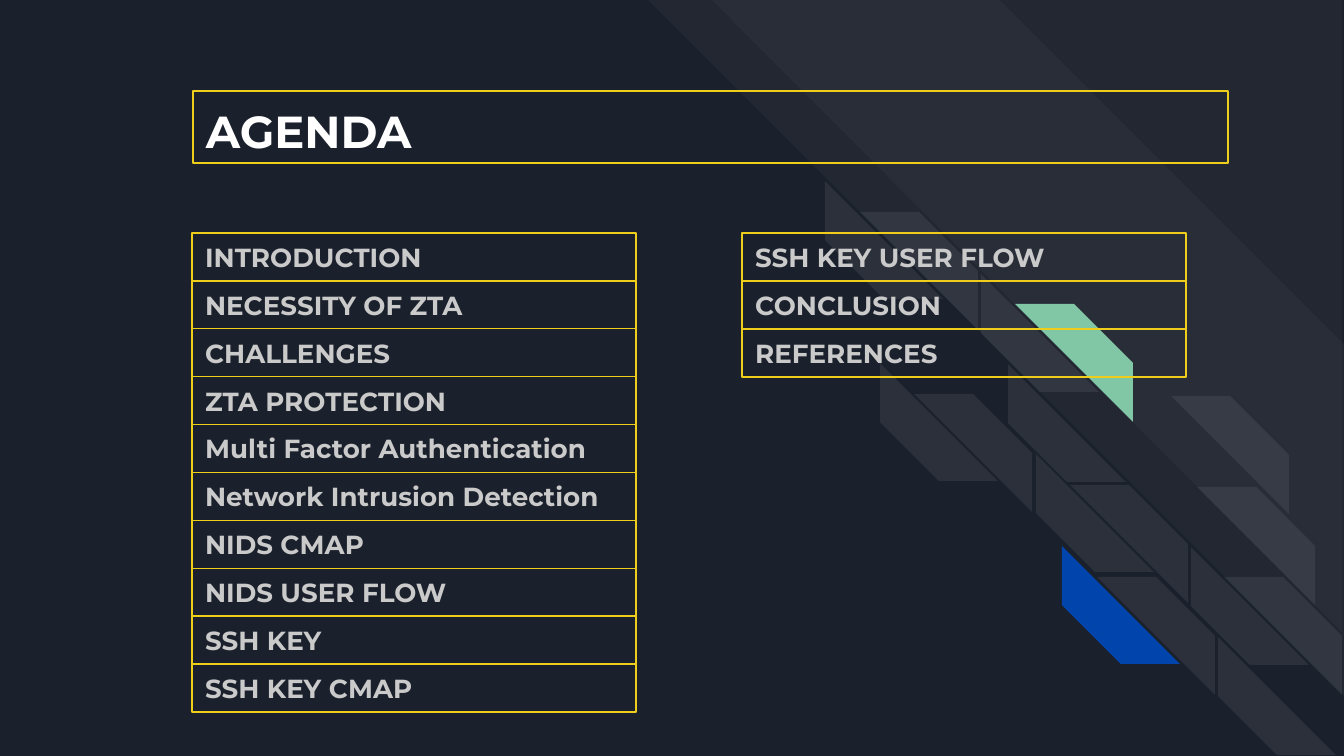
from dataclasses import dataclass

from lxml.etree import SubElement
from pptx import Presentation
from pptx.dml.color import RGBColor
from pptx.enum.shapes import MSO_SHAPE as Preset
from pptx.enum.text import MSO_ANCHOR as Anchor, PP_ALIGN as Align
from pptx.oxml.ns import qn
from pptx.util import Emu, Pt

EMU_PER_PX = 9144000 / 1344


@dataclass(frozen=True)
class Theme:
    """Colours, type and line sizes of the deck."""
    background: str = "1B212C"
    heading: str = "FFFFFF"
    topic: str = "CACACA"
    outline: str = "EECE1A"
    veil: str = "FFFFFF"
    green: str = "82C7A5"
    blue: str = "0145AC"
    font: str = "Montserrat"
    heading_size: int = 24
    topic_size: int = 14
    outline_width: float = 0.75


THEME = Theme()

LEFT_TOPICS = [
    "INTRODUCTION", "NECESSITY OF ZTA", "CHALLENGES", "ZTA PROTECTION",
    "Multi Factor Authentication", "Network Intrusion Detection",
    "NIDS CMAP", "NIDS USER FLOW", "SSH KEY", "SSH KEY CMAP",
]
RIGHT_TOPICS = ["SSH KEY USER FLOW", "CONCLUSION", "REFERENCES"]

BRICK = 118
FALLING, RISING = 90, 270
BRICKS = [
    (177, 181, RISING), (212, 212, FALLING),
    (232, 363, RISING), (266, 394, FALLING),
    (333, 274, RISING), (367, 304, FALLING, THEME.green, 100),
    (360, 364, RISING), (523, 396, FALLING), (549, 487, FALLING),
    (388, 454, RISING), (422, 485, FALLING),
    (414, 546, RISING, THEME.blue, 100), (449, 577, FALLING),
    (543, 547, RISING), (576, 577, FALLING), (570, 637, RISING),
]


def px(length):
    """Turn pixels into EMU."""
    return Emu(round(length * EMU_PER_PX))


def add_stripe(slide, box, rotation, cut, color, opacity):
    """Add a diagonal stripe with a fill opacity in percent."""
    stripe = slide.shapes.add_shape(Preset.DIAGONAL_STRIPE, *map(px, box))
    stripe.shadow.inherit = False
    stripe.rotation = rotation
    stripe.adjustments[0] = cut
    stripe.line.fill.background()
    stripe.fill.solid()
    stripe.fill.fore_color.rgb = RGBColor.from_string(color)
    if opacity < 100:
        tint = stripe._element.spPr.find(".//" + qn("a:srgbClr"))
        SubElement(tint, qn("a:alpha"), val=str(opacity * 1000))


def add_backdrop(slide, box):
    """Add the two wide veils and the diagonal bricks."""
    left, top, width, height = box
    add_stripe(slide, (left, top, width, width), FALLING, 0.495, THEME.veil, 3)
    add_stripe(slide, (left + 63, top + 1, 632, 630), FALLING, 0, THEME.veil, 3)
    for x, y, rotation, *paint in BRICKS:
        color, opacity = paint or (THEME.veil, 7)
        add_stripe(slide, (left + x, top + y, BRICK, BRICK), rotation, 0.5, color, opacity)


def add_frame(slide, box, wording, size, color, anchor):
    """Add an outlined box with one line of bold text."""
    frame = slide.shapes.add_shape(Preset.RECTANGLE, *map(px, box))
    frame.shadow.inherit = False
    frame.fill.background()
    frame.line.color.rgb = RGBColor.from_string(THEME.outline)
    frame.line.width = Pt(THEME.outline_width)
    body = frame.text_frame
    body.word_wrap = True
    body.vertical_anchor = anchor
    body.margin_left = body.margin_right = body.margin_top = body.margin_bottom = px(13)
    line = body.paragraphs[0]
    line.text = wording
    line.alignment = Align.LEFT
    line.font.name = THEME.font
    line.font.size = Pt(size)
    line.font.bold = True
    line.font.color.rgb = RGBColor.from_string(color)


def add_topics(slide, box, topics):
    """Stack the topics in equal rows that fill the box."""
    left, top, width, height = box
    row = height / len(topics)
    for index, topic in enumerate(topics):
        add_frame(slide, (left, top + index * row, width, row), topic,
                  THEME.topic_size, THEME.topic, Anchor.MIDDLE)


def add_agenda(deck):
    """Add the agenda slide."""
    slide = deck.slides.add_slide(deck.slide_layouts[6])
    slide.background.fill.solid()
    slide.background.fill.fore_color.rgb = RGBColor.from_string(THEME.background)
    add_backdrop(slide, (648, 0, 696, 756))
    add_frame(slide, (193, 91, 1035, 72), "AGENDA",
              THEME.heading_size, THEME.heading, Anchor.TOP)
    add_topics(slide, (192, 233, 444, 479), LEFT_TOPICS)
    add_topics(slide, (742, 233, 444, 144), RIGHT_TOPICS)


def main():
    """Build and save the deck."""
    deck = Presentation()
    deck.slide_width, deck.slide_height = px(1344), px(756)
    add_agenda(deck)
    deck.save("out.pptx")


if __name__ == "__main__":
    main()
